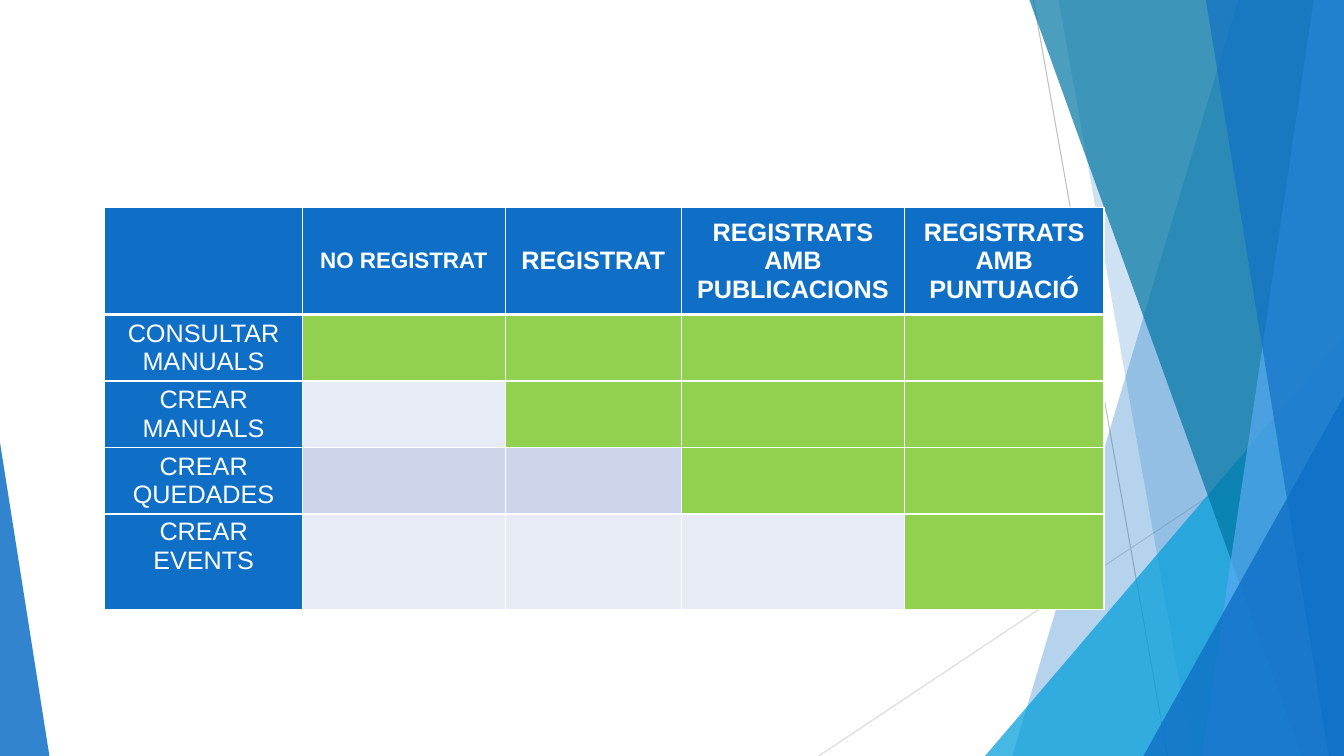
from dataclasses import dataclass

from lxml.etree import SubElement
from pptx import Presentation
from pptx.dml.color import RGBColor
from pptx.enum.shapes import MSO_CONNECTOR as Connector, MSO_SHAPE as Preset
from pptx.enum.text import MSO_ANCHOR as Anchor, PP_ALIGN as Align
from pptx.oxml.ns import qn
from pptx.util import Inches, Pt


@dataclass(frozen=True)
class Theme:
    """Colours, font and type sizes of the slide."""
    blue: str = "0F6FC6"
    sky: str = "59AAF2"
    cyan: str = "009DD9"
    teal: str = "0076A3"
    green: str = "92D050"
    pale: str = "E7EBF5"
    mist: str = "CCD5EA"
    white: str = "FFFFFF"
    dark_line: str = "BFBFBF"
    light_line: str = "D9D9D9"
    font: str = "Arial"
    small: int = 16
    body: int = 18


@dataclass(frozen=True)
class Line:
    """A thin straight line between two points."""
    start: tuple[float, float]
    end: tuple[float, float]
    color: str


@dataclass(frozen=True)
class Band:
    """A full-height panel from a slanted left edge to the slide's right edge."""
    top_x: float
    bottom_x: float
    color: str
    opacity: int


@dataclass(frozen=True)
class Corner:
    """A triangle standing on the slide's bottom edge."""
    left: float
    top: float
    width: float
    apex: float
    color: str
    opacity: int


@dataclass(frozen=True)
class Label:
    """The paragraphs of a heading cell and how they are set."""
    lines: tuple[str, ...]
    size: int
    bold: bool = False
    anchor: Anchor = Anchor.MIDDLE


THEME = Theme()
WIDTH, HEIGHT = 13.33, 7.5

LINES = [
    Line((10.25, 0), (11.58, HEIGHT), THEME.dark_line),
    Line((WIDTH, 4.03), (8.12, HEIGHT), THEME.light_line),
]
PANELS = [
    Band(12.28, 10.04, THEME.blue, 30),
    Band(10.5, 11.83, THEME.blue, 20),
    Corner(9.77, 3.33, 3.56, 1, THEME.cyan, 72),
    Band(10.21, 12.91, THEME.teal, 70),
    Band(13.03, 11.92, THEME.sky, 70),
    Band(11.96, 13.18, THEME.blue, 65),
    Corner(11.34, 3.93, 1.99, 1, THEME.blue, 80),
    Corner(0, 4.39, 0.49, 0, THEME.blue, 85),
]

TABLE_LEFT, TABLE_TOP = 1.04, 2.06
COLUMN_WIDTHS = [1.96, 2.01, 1.75, 2.21, 1.98]
ROW_HEIGHTS = [1.06, 0.66, 0.66, 0.66, 0.95]
ROLES = [
    Label(("NO REGISTRAT",), THEME.small, True),
    Label(("REGISTRAT",), THEME.body, True),
    Label(("REGISTRATS", "AMB", "PUBLICACIONS"), THEME.body, True),
    Label(("REGISTRATS AMB", "PUNTUACIÓ"), THEME.body, True),
]
ACTIONS = [
    Label(("CONSULTAR", "MANUALS"), THEME.body),
    Label(("CREAR", "MANUALS"), THEME.body),
    Label(("CREAR", "QUEDADES"), THEME.body),
    Label(("CREAR", "EVENTS"), THEME.body, anchor=Anchor.TOP),
]


def draw_line(page, line: Line) -> None:
    """Draw one thin line without a shadow."""
    points = [Inches(value) for value in (*line.start, *line.end)]
    connector = page.shapes.add_connector(Connector.STRAIGHT, *points)
    connector.line.color.rgb = RGBColor.from_string(line.color)
    connector.line.width = Pt(0.75)
    SubElement(connector._element.spPr, qn("a:effectLst"))


def draw_panel(page, panel: Band | Corner) -> None:
    """Draw one see-through panel of the backdrop."""
    if isinstance(panel, Band):
        corners = [(panel.top_x, 0), (WIDTH, 0), (WIDTH, HEIGHT), (panel.bottom_x, HEIGHT)]
        points = [(Inches(x), Inches(y)) for x, y in corners]
        outline = page.shapes.build_freeform(*points[0])
        outline.add_line_segments(points[1:], close=True)
        shape = outline.convert_to_shape()
    else:
        shape = page.shapes.add_shape(
            Preset.ISOSCELES_TRIANGLE, Inches(panel.left), Inches(panel.top),
            Inches(panel.width), Inches(HEIGHT - panel.top))
        shape.adjustments[0] = panel.apex
    shape.shadow.inherit = False
    shape.line.fill.background()
    shape.fill.solid()
    shape.fill.fore_color.rgb = RGBColor.from_string(panel.color)
    color = shape._element.spPr.find(qn("a:solidFill"))[0]
    SubElement(color, qn("a:alpha"), val=str(panel.opacity * 1000))


def style_cell(cell, color: str, bottom: float, top: float) -> None:
    """Give a cell its white borders and its fill."""
    properties = cell._tc.get_or_add_tcPr()
    for side, width in {"lnL": 1, "lnR": 1, "lnT": top, "lnB": bottom}.items():
        border = SubElement(properties, qn(f"a:{side}"), w=str(Pt(width)))
        fill = SubElement(border, qn("a:solidFill"))
        SubElement(fill, qn("a:srgbClr"), val=THEME.white)
    cell.fill.solid()
    cell.fill.fore_color.rgb = RGBColor.from_string(color)


def write_label(cell, label: Label) -> None:
    """Write a centred label, one paragraph per line."""
    cell.vertical_anchor = label.anchor
    cell.margin_top = cell.margin_bottom = Inches(0.04)
    frame = cell.text_frame
    for index, text in enumerate(label.lines):
        para = frame.add_paragraph() if index else frame.paragraphs[0]
        para.alignment = Align.CENTER
        span = para.add_run()
        span.text = text
        span.font.name = THEME.font
        span.font.size = Pt(label.size)
        span.font.bold = label.bold
        span.font.color.rgb = RGBColor.from_string(THEME.white)


def cell_color(row: int, column: int) -> str:
    """Blue for headings, green where the role may act, else a row stripe."""
    if row == 0 or column == 0:
        return THEME.blue
    if column >= row:
        return THEME.green
    return THEME.mist if row % 2 else THEME.pale


def draw_permissions(page) -> None:
    """Draw the table of what each kind of user may do."""
    box = page.shapes.add_table(
        len(ROW_HEIGHTS), len(COLUMN_WIDTHS), Inches(TABLE_LEFT), Inches(TABLE_TOP),
        Inches(sum(COLUMN_WIDTHS)), Inches(sum(ROW_HEIGHTS)))
    table = box.table
    for column, width in zip(table.columns, COLUMN_WIDTHS):
        column.width = Inches(width)
    for row, height in enumerate(ROW_HEIGHTS):
        table.rows[row].height = Inches(height)
        for column in range(len(COLUMN_WIDTHS)):
            style_cell(table.cell(row, column), cell_color(row, column),
                       bottom=3 if row == 0 else 1, top=3 if row == 1 else 1)
    for index, (role, action) in enumerate(zip(ROLES, ACTIONS), start=1):
        write_label(table.cell(0, index), role)
        write_label(table.cell(index, 0), action)


def main() -> None:
    """Build the slide and save it."""
    deck = Presentation()
    deck.slide_width, deck.slide_height = Inches(WIDTH), Inches(HEIGHT)
    page = deck.slides.add_slide(deck.slide_layouts[6])
    for line in LINES:
        draw_line(page, line)
    for panel in PANELS:
        draw_panel(page, panel)
    draw_permissions(page)
    deck.save("out.pptx")


main()
